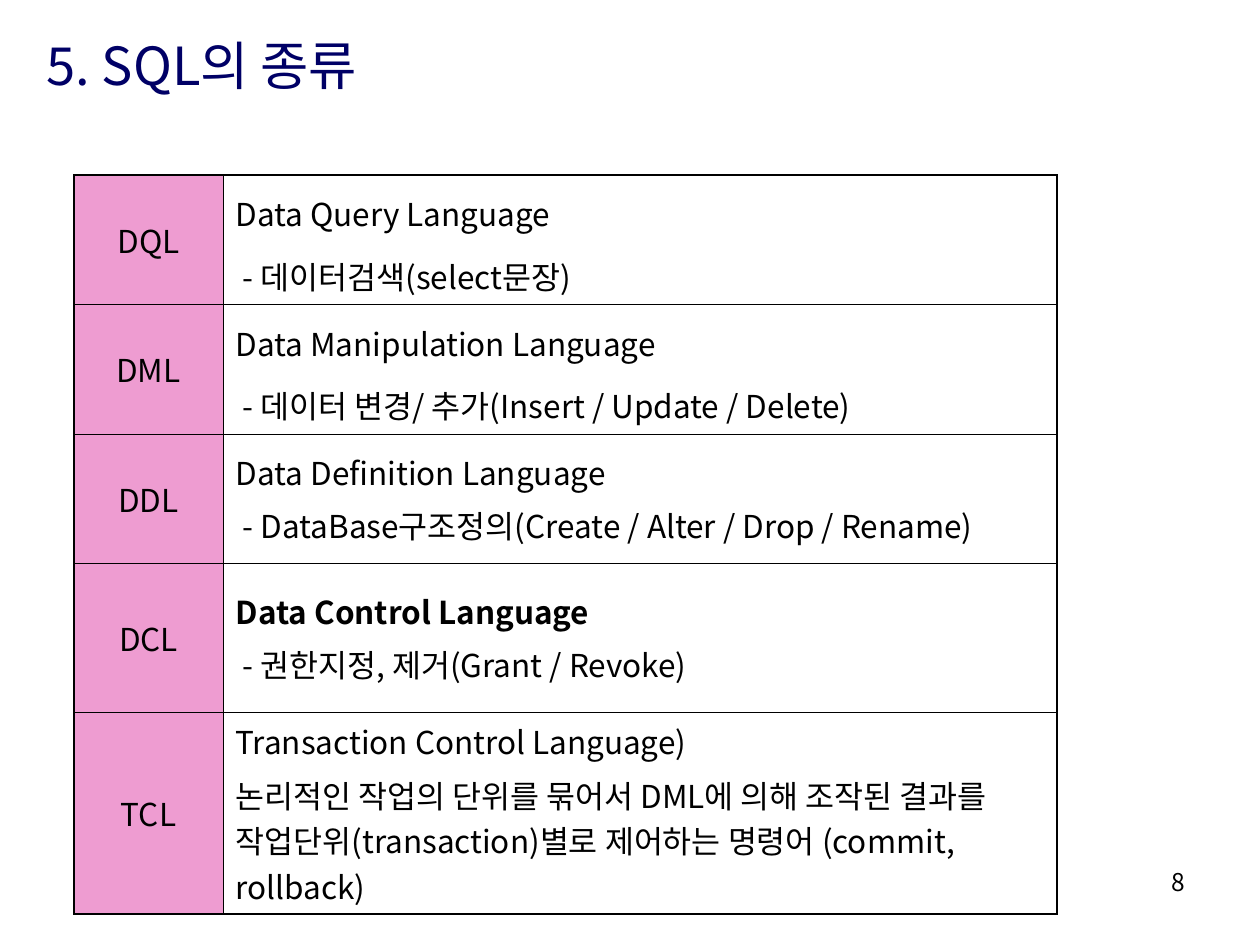
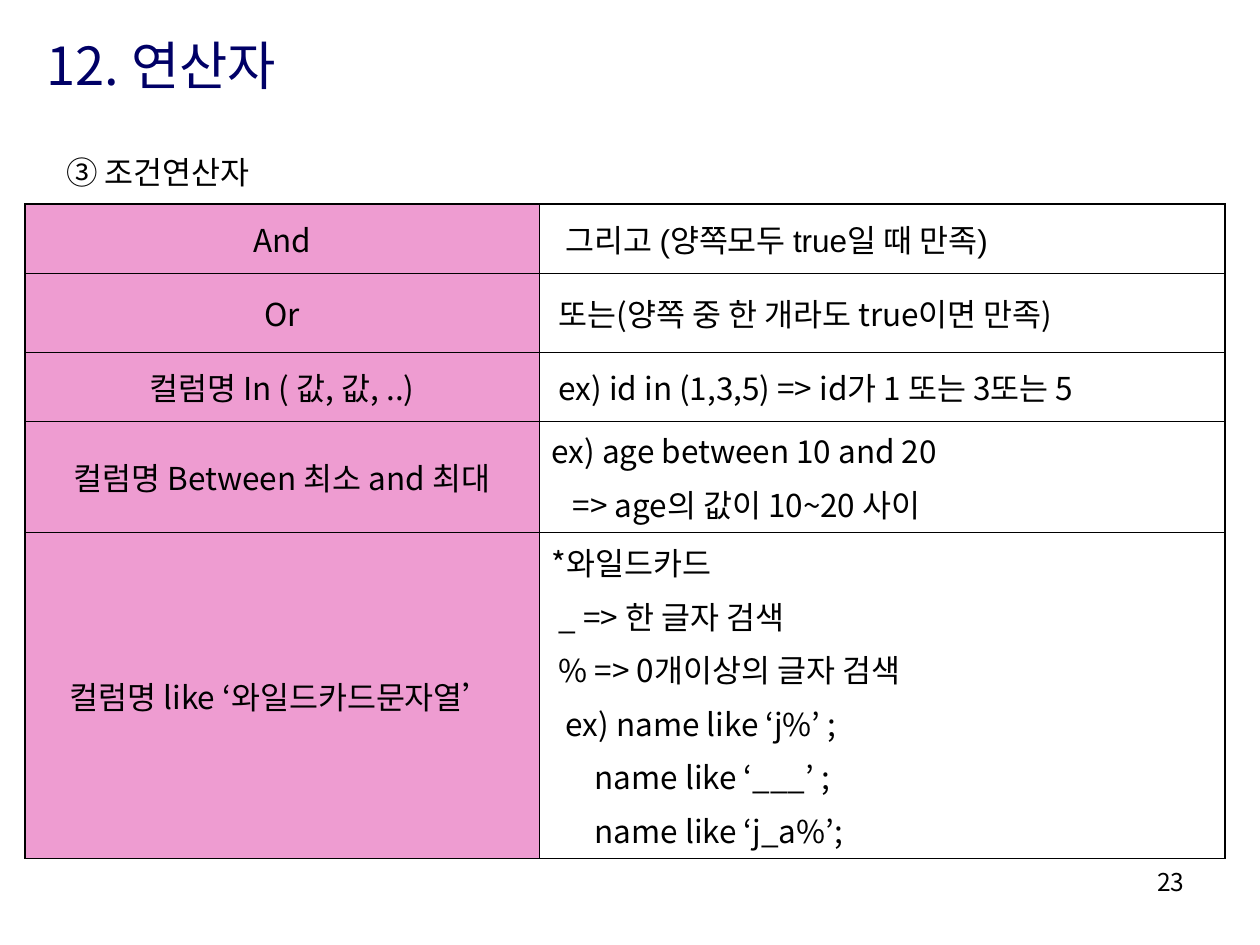
from dataclasses import dataclass

from lxml import etree
from pptx import Presentation
from pptx.dml.color import RGBColor
from pptx.enum.text import MSO_ANCHOR, PP_ALIGN
from pptx.oxml.ns import qn
from pptx.util import Emu, Pt

EMU_PER_PX = 914400 / 126
BLANK_LAYOUT = 6
LEFT, CENTER, RIGHT = PP_ALIGN.LEFT, PP_ALIGN.CENTER, PP_ALIGN.RIGHT
TOP, MIDDLE = MSO_ANCHOR.TOP, MSO_ANCHOR.MIDDLE


@dataclass(frozen=True)
class Theme:
    font: str = "Noto Sans CJK KR"
    alt_font: str = "Arial"
    navy: str = "000066"
    ink: str = "000000"
    pink: str = "EE9CD1"
    paper: str = "FFFFFF"
    title_size: int = 30
    body_size: int = 18
    number_size: int = 14
    paragraph_gap: float = 4.5
    outer_rule: float = 1.08
    inner_rule: float = 0.45


THEME = Theme()


@dataclass(frozen=True)
class Line:
    """One paragraph of text; indent in px."""
    text: str
    indent: int = 0
    spacing: float = 1.0
    bold: bool = False
    font: str = THEME.font


def px(length):
    return Emu(round(length * EMU_PER_PX))


# Text
def write_lines(frame, lines, size=THEME.body_size, color=THEME.ink, align=LEFT):
    for index, line in enumerate(lines):
        paragraph = frame.add_paragraph() if index else frame.paragraphs[0]
        paragraph.text = line.text
        paragraph.alignment = align
        paragraph.line_spacing = line.spacing
        paragraph.space_before = Pt(THEME.paragraph_gap if index else 0)
        properties = paragraph._p.get_or_add_pPr()
        properties.set("marL", str(px(line.indent)))
        properties.set("indent", "0")
        font = paragraph.font
        font.name, font.size, font.bold = line.font, Pt(size), line.bold
        font.color.rgb = RGBColor.from_string(color)
        east_asian = etree.SubElement(properties.find(qn("a:defRPr")), qn("a:ea"))
        east_asian.set("typeface", THEME.font)


def add_label(slide, box, line, anchor=TOP, **style):
    frame = slide.shapes.add_textbox(*map(px, box)).text_frame
    frame.word_wrap = True
    frame.vertical_anchor = anchor
    write_lines(frame, [line], **style)


# Tables
def set_borders(cell, widths):
    properties = cell._tc.get_or_add_tcPr()
    for position, (side, width) in enumerate(widths.items()):
        rule = etree.Element(qn(f"a:{side}"), w=str(Pt(width)))
        fill = etree.SubElement(rule, qn("a:solidFill"))
        etree.SubElement(fill, qn("a:srgbClr"), val=THEME.ink)
        properties.insert(position, rule)


def add_term_table(slide, left, top, widths, heights, entries, bottom_rule):
    """Terms in a pink column on the left, explanations on the right."""
    table = slide.shapes.add_table(
        len(heights), len(widths),
        *map(px, (left, top, sum(widths), sum(heights)))).table
    table.first_row = table.horz_banding = False
    for column, width in zip(table.columns, widths):
        column.width = px(width)
    last = len(entries) - 1
    outer, inner = THEME.outer_rule, THEME.inner_rule
    for r, (term, explanation) in enumerate(entries):
        table.rows[r].height = px(heights[r])
        columns = (([Line(term)], THEME.pink, CENTER),
                   (explanation, THEME.paper, LEFT))
        for c, (lines, fill, align) in enumerate(columns):
            cell = table.cell(r, c)
            cell.vertical_anchor = MIDDLE
            cell.fill.solid()
            cell.fill.fore_color.rgb = RGBColor.from_string(fill)
            write_lines(cell.text_frame, lines, align=align)
            set_borders(cell, {
                "lnL": inner if c else outer,
                "lnR": outer if c else inner,
                "lnT": inner if r else outer,
                "lnB": bottom_rule if r == last else inner,
            })


# Slides
def add_page(deck, title, number):
    slide = deck.slides.add_slide(deck.slide_layouts[BLANK_LAYOUT])
    add_label(slide, (903, 861, 294, 66), Line(number),
              size=THEME.number_size, align=RIGHT)
    add_label(slide, (34, 26, 1191, 77), Line(title), anchor=MIDDLE,
              size=THEME.title_size, color=THEME.navy)
    return slide


def add_sql_kinds(deck):
    slide = add_page(deck, "5. SQL의 종류", "8")
    kinds = [
        ("DQL", [Line("Data Query Language", spacing=1.2),
                 Line("- 데이터검색(select문장)", 7, 1.2)]),
        ("DML", [Line("Data Manipulation Language", spacing=1.2),
                 Line("- 데이터 변경/ 추가(Insert / Update / Delete)", 7, 1.2)]),
        ("DDL", [Line("Data Definition Language"),
                 Line("- DataBase구조정의(Create / Alter / Drop / Rename)", 7)]),
        ("DCL", [Line("Data Control Language", bold=True),
                 Line("- 권한지정, 제거(Grant / Revoke)", 7)]),
        ("TCL", [Line("Transaction Control Language)"),
                 Line("논리적인 작업의 단위를 묶어서 DML에 의해 조작된 결과를 "
                      "작업단위(transaction)별로 제어하는 명령어 (commit, rollback)")]),
    ]
    add_term_table(slide, 74, 175, (149, 834), (129, 130, 129, 149, 202),
                   kinds, THEME.outer_rule)


def add_operators(deck):
    slide = add_page(deck, "12. 연산자", "23")
    operators = [
        ("And", [Line("그리고 (양쪽모두 true일 때 만족)", 14, font=THEME.alt_font)]),
        ("Or", [Line("또는(양쪽 중 한 개라도 true이면 만족)", 7)]),
        ("컬럼명 In ( 값, 값, ..)",
         [Line("ex) id in (1,3,5) => id가 1 또는 3또는 5", 7)]),
        ("컬럼명 Between 최소 and 최대",
         [Line("ex) age between 10 and 20"),
          Line("=> age의 값이 10~20 사이", 21)]),
        ("컬럼명 like ‘와일드카드문자열’",
         [Line("*와일드카드"),
          Line("_ => 한 글자 검색", 7),
          Line("% => 0개이상의 글자 검색", 7),
          Line("ex) name like ‘j%’ ;", 14),
          Line("name like ‘___’ ;", 43),
          Line("name like ‘j_a%’;", 43)]),
    ]
    add_term_table(slide, 25, 204, (514, 686), (69, 79, 69, 112, 326),
                   operators, THEME.inner_rule)
    add_label(slide, (54, 157, 268, 39), Line("③ 조건연산자", spacing=0.7))


def main():
    deck = Presentation()
    deck.slide_width, deck.slide_height = px(1260), px(945)
    add_sql_kinds(deck)
    add_operators(deck)
    deck.save("out.pptx")


if __name__ == "__main__":
    main()
